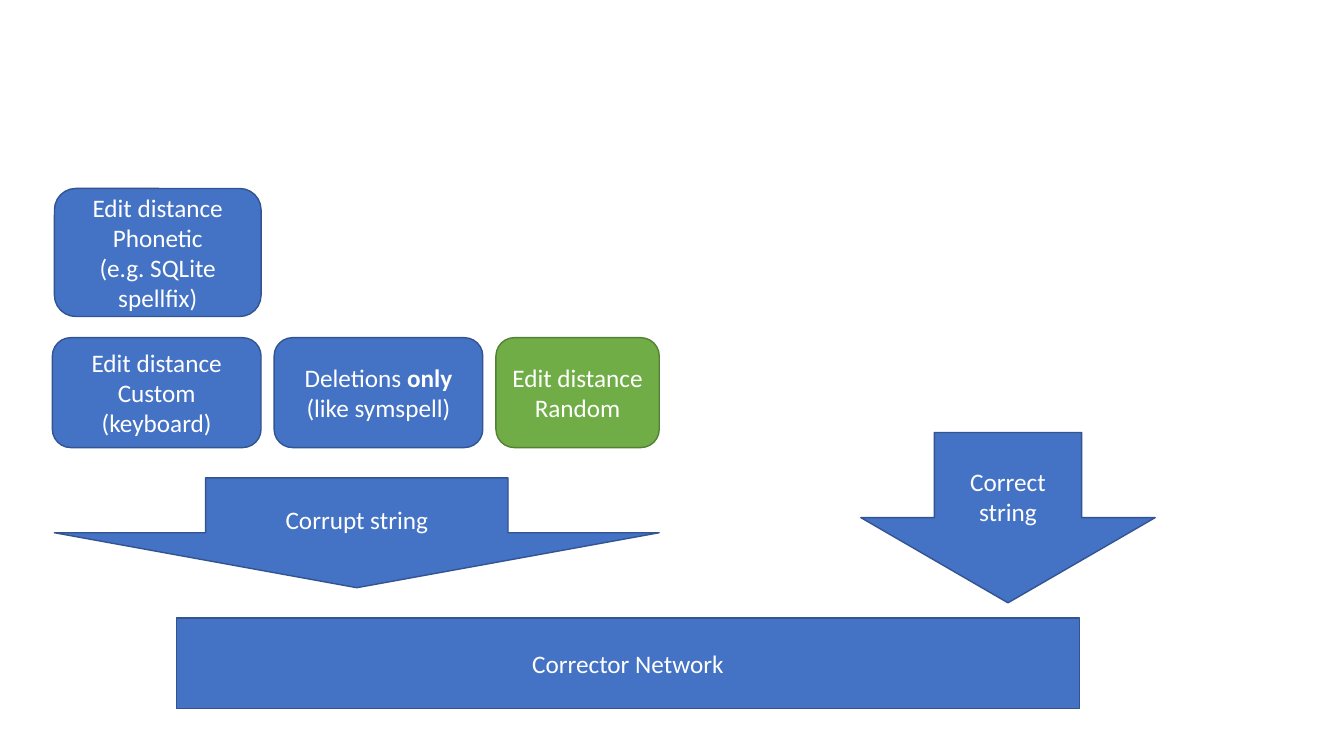
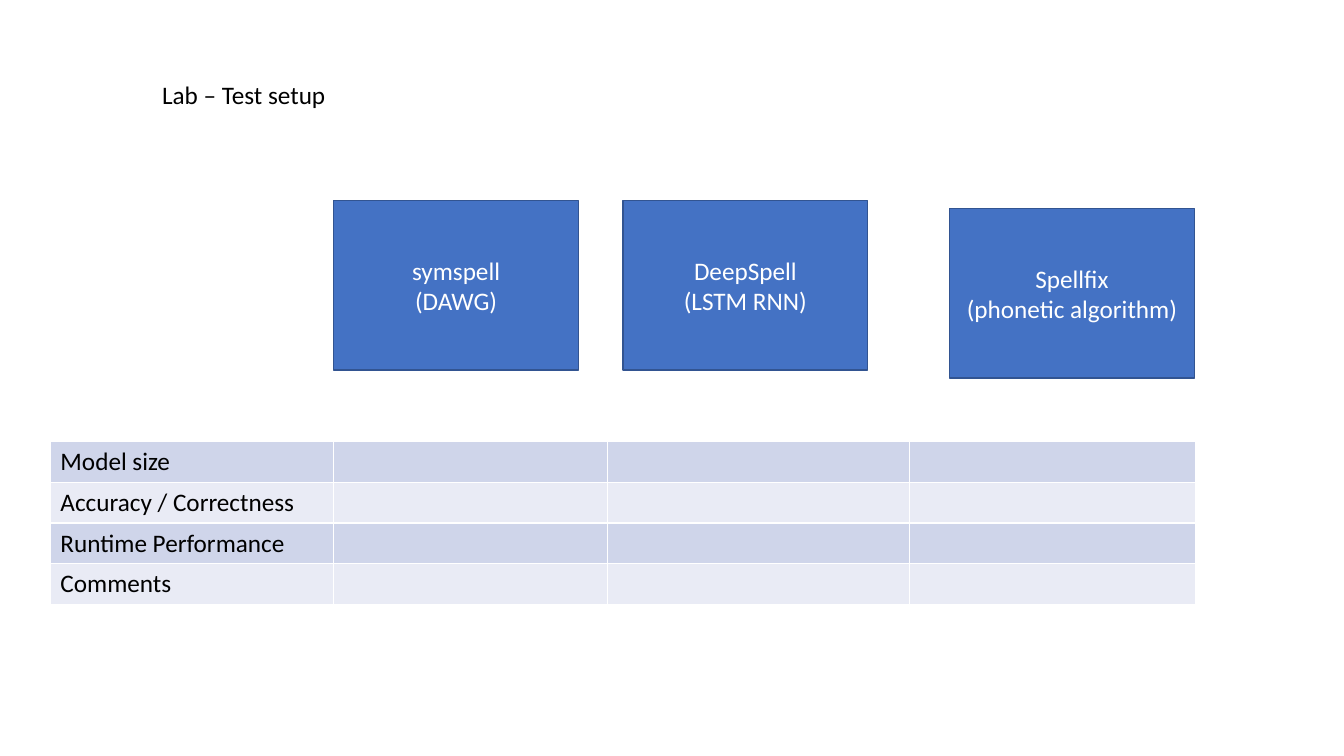
from pptx import Presentation
from pptx.dml.color import RGBColor
from pptx.enum.shapes import MSO_SHAPE
from pptx.enum.text import MSO_ANCHOR, MSO_AUTO_SIZE, PP_ALIGN
from pptx.util import Inches, Pt

# The slide is a grid of 80 columns and 45 rows of square units.
COLUMNS, ROWS = 80, 45
UNIT = 1 / 6

BLUE = RGBColor(0x44, 0x72, 0xC4)
DARK_BLUE = RGBColor(0x32, 0x54, 0x91)
GREEN = RGBColor(0x70, 0xAD, 0x47)
DARK_GREEN = RGBColor(0x53, 0x80, 0x35)
WHITE = RGBColor(0xFF, 0xFF, 0xFF)
BLACK = RGBColor(0x00, 0x00, 0x00)
BANDS = (RGBColor(0xCF, 0xD5, 0xEA), RGBColor(0xE9, 0xEB, 0xF5))

FONT = "Calibri"
TEXT_SIZE = Pt(18)


def grid(*units):
    """Turn grid units into slide lengths."""
    return [Inches(unit * UNIT) for unit in units]


def write_text(frame, text, color=BLACK, align=PP_ALIGN.LEFT):
    """Write text: newline starts a paragraph, \\v breaks a line, ** marks bold."""
    for number, paragraph_text in enumerate(text.split("\n")):
        paragraph = frame.add_paragraph() if number else frame.paragraphs[0]
        paragraph.alignment = align
        for line_number, line in enumerate(paragraph_text.split("\v")):
            if line_number:
                paragraph.add_line_break()
            for part_number, part in enumerate(line.split("**")):
                if part:
                    run = paragraph.add_run()
                    run.text = part
                    run.font.name = FONT
                    run.font.size = TEXT_SIZE
                    run.font.bold = part_number % 2 == 1
                    run.font.color.rgb = color


def add_block(slide, kind, text, place, fill=BLUE, outline=DARK_BLUE):
    """Add a filled preset shape with centred white text."""
    shape = slide.shapes.add_shape(kind, *grid(*place))
    shape.shadow.inherit = False
    shape.fill.solid()
    shape.fill.fore_color.rgb = fill
    shape.line.color.rgb = outline
    shape.line.width = Pt(1)
    shape.text_frame.word_wrap = True
    shape.text_frame.vertical_anchor = MSO_ANCHOR.MIDDLE
    write_text(shape.text_frame, text, color=WHITE, align=PP_ALIGN.CENTER)


def add_label(slide, text, place):
    """Add a plain one-line text box."""
    frame = slide.shapes.add_textbox(*grid(*place)).text_frame
    frame.word_wrap = False
    frame.auto_size = MSO_AUTO_SIZE.SHAPE_TO_FIT_TEXT
    write_text(frame, text)


def add_criteria_table(slide, criteria, left, top, widths, row_height):
    """Add a banded table with criteria in its first column and empty cells beside."""
    size = (sum(widths), row_height * len(criteria))
    table = slide.shapes.add_table(
        len(criteria), len(widths), *grid(left, top, *size)).table
    table.first_row = False
    for column, width in zip(table.columns, grid(*widths)):
        column.width = width
    for number, criterion in enumerate(criteria):
        for cell in table.rows[number].cells:
            cell.fill.solid()
            cell.fill.fore_color.rgb = BANDS[number % len(BANDS)]
        write_text(table.cell(number, 0).text_frame, criterion)


def build_training_slide(slide):
    """Draw the ways to corrupt a string and the network they feed."""
    add_block(slide, MSO_SHAPE.RECTANGLE, "Corrector Network", (10.5, 36.78, 53.76, 5.4))
    add_block(slide, MSO_SHAPE.DOWN_ARROW, "Corrupt string", (3.24, 28.44, 36, 6.54))
    add_block(slide, MSO_SHAPE.DOWN_ARROW, "Correct string", (51.24, 25.74, 17.52, 10.14))
    add_block(slide, MSO_SHAPE.ROUNDED_RECTANGLE,
              "Edit distance\nPhonetic\n(e.g. SQLite spellfix)", (3.24, 11.22, 12.3, 7.62))
    methods = (
        ("Edit distance\nCustom (keyboard)", 12.42, BLUE, DARK_BLUE),
        ("Deletions **only**\v(like symspell)", 12.42, BLUE, DARK_BLUE),
        ("Edit distance\nRandom", 9.72, GREEN, DARK_GREEN),
    )
    for number, (text, width, fill, outline) in enumerate(methods):
        place = (3.12 + 13.2 * number, 20.1, width, 6.54)
        add_block(slide, MSO_SHAPE.ROUNDED_RECTANGLE, text, place, fill=fill, outline=outline)


def build_test_slide(slide):
    """Draw the compared spell checkers above the table of criteria."""
    add_label(slide, "Lab – Test setup", (9.06, 4.44, 11.04, 2.4))
    checkers = (
        ("symspell\n(DAWG)", 19.86, 11.94),
        ("DeepSpell\n(LSTM RNN)", 37.08, 11.94),
        ("Spellfix\n(phonetic algorithm)", 56.52, 12.42),
    )
    for text, left, top in checkers:
        add_block(slide, MSO_SHAPE.RECTANGLE, text, (left, top, 14.58, 10.08))
    criteria = ("Model size", "Accuracy / Correctness", "Runtime Performance", "Comments")
    add_criteria_table(slide, criteria, left=3, top=26.28,
                       widths=(16.86, 16.32, 17.94, 17.04), row_height=2.43)


def main():
    """Build both slides and save the presentation."""
    presentation = Presentation()
    presentation.slide_width, presentation.slide_height = grid(COLUMNS, ROWS)
    blank = presentation.slide_layouts[6]
    for build in (build_training_slide, build_test_slide):
        build(presentation.slides.add_slide(blank))
    presentation.save("out.pptx")


main()
